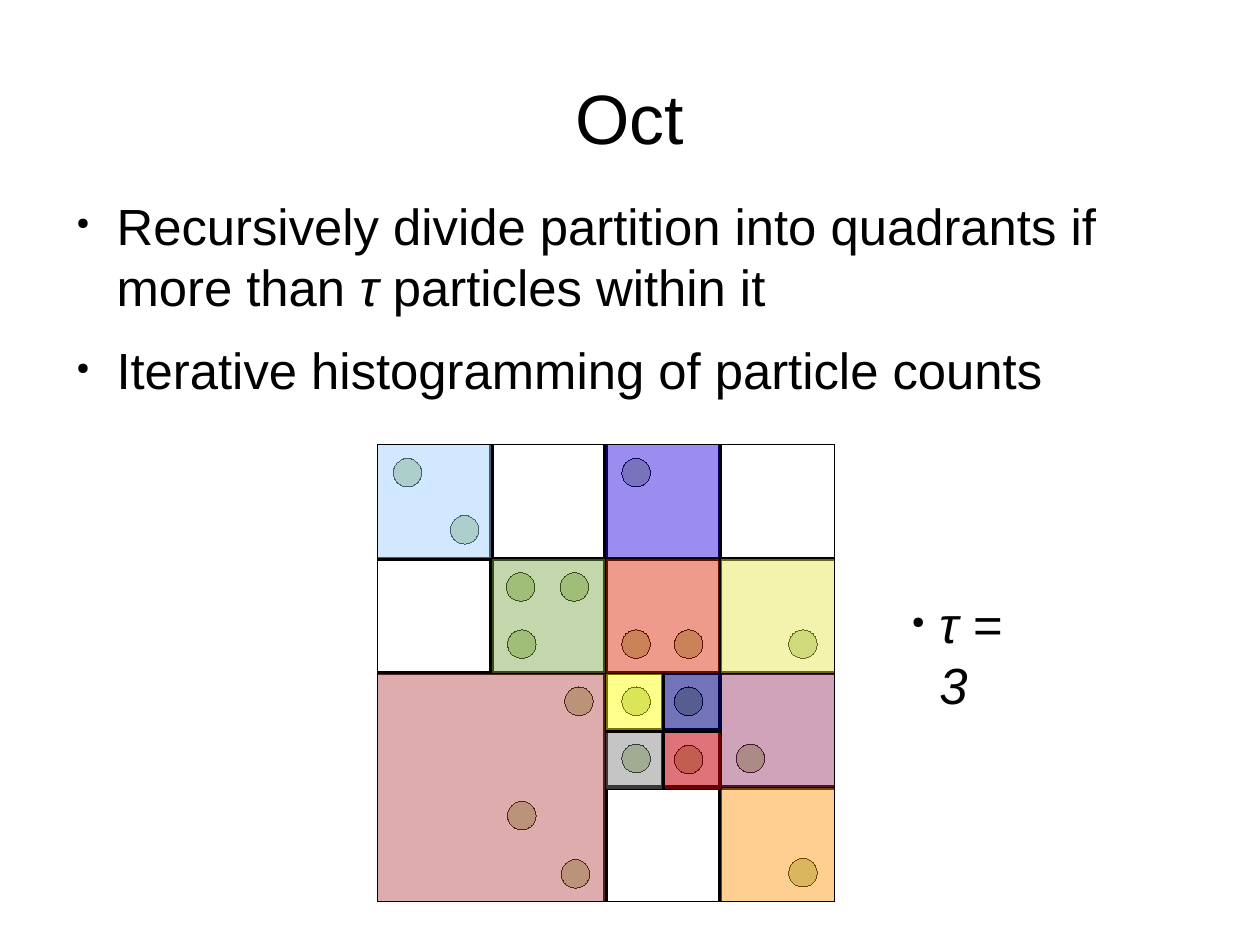
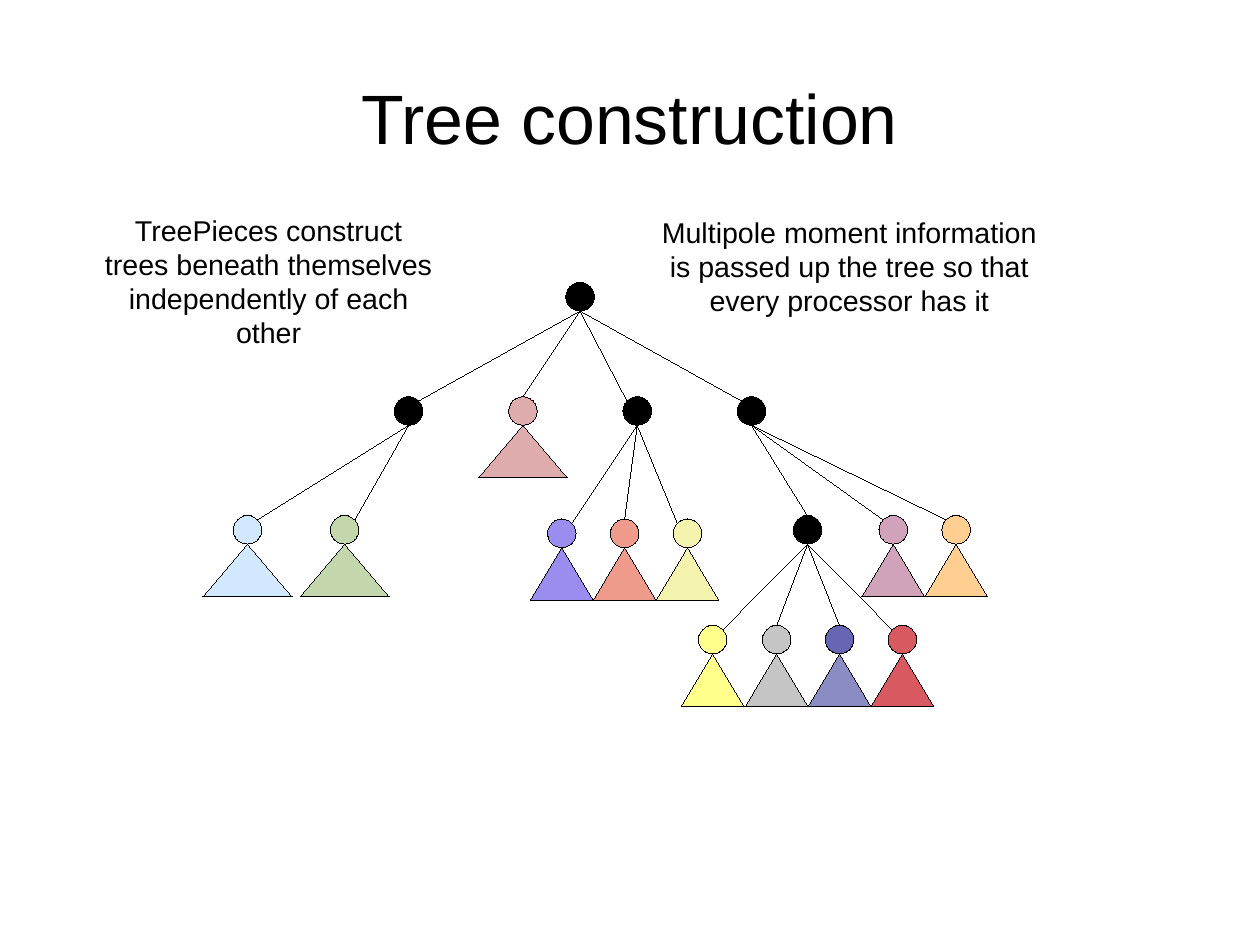
import lxml.etree
import pptx
import pptx.dml.color
import pptx.enum.shapes
import pptx.enum.text
import pptx.oxml.ns
import pptx.util

Inches = pptx.util.Inches
Pt = pptx.util.Pt
qn = pptx.oxml.ns.qn
SHAPE = pptx.enum.shapes.MSO_SHAPE
ANCHOR = pptx.enum.text.MSO_ANCHOR
ALIGN = pptx.enum.text.PP_ALIGN

COLOURS = {
    "black": "000000", "particle": "7DA647", "sky": "99CCFF",
    "green": "7DA647", "vermilion": "DC2300", "blue": "2300DC",
    "lemon": "E6E64C", "orange": "FF950E", "plum": "993366",
    "rose": "B84747", "yellow": "FFFF00", "navy": "000080",
    "red": "C5000B", "grey": "808080",
}
DOT = 0.25  # diameter of particles and tree nodes


class Deck:
    """Shared style, and the slide being filled."""
    font = "Arial"
    title_size, body_size, note_size = 44, 32, 18
    hairline, divider = 0.01, 2.89

    def __init__(self, presentation):
        self.presentation = presentation
        self.slide = None

    def colour(self, name):
        return pptx.dml.color.RGBColor.from_string(COLOURS[name])

    def add_slide(self, title):
        self.slide = self.presentation.slides.add_slide(
            self.presentation.slide_layouts[6])
        self.text((0.55, 0.38, 9.92, 1.28), [[(title, False)]],
                  self.title_size, inset=(0, 0), align=ALIGN.CENTER,
                  anchor=ANCHOR.MIDDLE)

    def text(self, box, paragraphs, size, inset=(0.1, 0.05), align=ALIGN.LEFT,
             anchor=ANCHOR.TOP, wrap=True, bullet=None, space_after=0):
        """Paragraphs are lists of (text, italic); bullet is (margin, indent)."""
        frame = self.slide.shapes.add_textbox(*map(Inches, box)).text_frame
        frame.word_wrap = wrap
        if not wrap:
            frame.auto_size = pptx.enum.text.MSO_AUTO_SIZE.SHAPE_TO_FIT_TEXT
        frame.vertical_anchor = anchor
        frame.margin_left = frame.margin_right = Inches(inset[0])
        frame.margin_top = frame.margin_bottom = Inches(inset[1])
        for index, runs in enumerate(paragraphs):
            paragraph = frame.add_paragraph() if index else frame.paragraphs[0]
            paragraph.alignment = align
            paragraph.space_after = Pt(space_after)
            if bullet:
                self.bullet(paragraph, *bullet)
            for words, italic in runs:
                run = paragraph.add_run()
                run.text = words
                run.font.name = self.font
                run.font.size = Pt(size)
                run.font.italic = italic
                run.font.color.rgb = self.colour("black")

    def bullet(self, paragraph, margin, indent):
        properties = paragraph._p.get_or_add_pPr()
        properties.set("marL", str(Inches(margin)))
        properties.set("indent", str(Inches(indent)))
        colour = lxml.etree.SubElement(properties, qn("a:buClr"))
        lxml.etree.SubElement(colour, qn("a:srgbClr"), val=COLOURS["black"])
        lxml.etree.SubElement(properties, qn("a:buSzPct"), val="32000")
        lxml.etree.SubElement(properties, qn("a:buChar"), char="●")

    def shape(self, kind, left, top, width, height, fill=None, opacity=100):
        shape = self.slide.shapes.add_shape(
            kind, *map(Inches, (left, top, width, height)))
        shape.shadow.inherit = False
        shape.line.color.rgb = self.colour("black")
        shape.line.width = Pt(self.hairline)
        if fill is None:
            shape.fill.background()
            return
        shape.fill.solid()
        shape.fill.fore_color.rgb = self.colour(fill)
        if opacity < 100:
            value = shape._element.spPr.find(
                qn("a:solidFill") + "/" + qn("a:srgbClr"))
            lxml.etree.SubElement(value, qn("a:alpha"), val=str(opacity * 1000))

    def line(self, start, end, width, group=None):
        connector = (group or self.slide).shapes.add_connector(
            pptx.enum.shapes.MSO_CONNECTOR.STRAIGHT,
            *map(Inches, (*start, *end)))
        connector.line.color.rgb = self.colour("black")
        connector.line.width = Pt(width)
        lxml.etree.SubElement(connector._element.spPr, qn("a:effectLst"))

    def cross(self, x, y, reach):
        """Split a square into quadrants."""
        group = self.slide.shapes.add_group_shape()
        self.line((x, y - reach), (x, y + reach), self.divider, group)
        self.line((x - reach, y), (x + reach, y), self.divider, group)


def build_oct(deck):
    deck.add_slide("Oct")
    deck.text((0.55, 1.7, 9.92, 2.05), [
        [("Recursively divide partition into quadrants if more than ", False),
         ("τ ", True), ("particles within it", False)],
        [("Iterative histogramming of particle counts", False)],
    ], deck.body_size, inset=(0, 0), bullet=(0.47, -0.35), space_after=14.2)

    # Domain square and its particles
    left, top = 3.3, 3.89
    deck.shape(SHAPE.RECTANGLE, left, top, 4, 4)
    particles = [
        (3.44, 4.01), (3.94, 4.51), (5.44, 4.01),
        (4.43, 5.01), (4.9, 5.01), (4.44, 5.51),
        (5.44, 5.51), (5.9, 5.51), (6.9, 5.51),
        (4.94, 6.01), (5.44, 6.01), (5.9, 6.01),
        (5.44, 6.51), (5.9, 6.52), (6.44, 6.51),
        (4.44, 7.01), (4.91, 7.52), (6.9, 7.51),
    ]
    for x, y in particles:
        deck.shape(SHAPE.OVAL, x, y, DOT, DOT, "particle", 50)

    deck.text((7.88, 5.14, 1.28, 0.75), [[("τ = 3", True)]],
              deck.body_size, bullet=(0.24, -0.24))

    # Recursive splits: centre and reach, in cells
    for column, row, reach in [(2, 2, 2), (1, 1, 1), (3, 1, 1), (3, 3, 1),
                               (2.5, 2.5, 0.5)]:
        deck.cross(left + column, top + row, reach)

    # Partitions: column, row, size, colour, opacity
    partitions = [
        (0, 0, 1, "sky", 45), (1, 1, 1, "green", 45),
        (2, 1, 1, "vermilion", 45), (2, 0, 1, "blue", 45),
        (3, 1, 1, "lemon", 45), (3, 3, 1, "orange", 45),
        (3, 2, 1, "plum", 45), (0, 2, 2, "rose", 45),
        (2, 2, 0.5, "yellow", 45), (2.51, 2, 0.5, "navy", 55),
        (2.51, 2.52, 0.5, "red", 55), (2, 2.52, 0.5, "grey", 45),
    ]
    for column, row, size, colour, opacity in partitions:
        deck.shape(SHAPE.RECTANGLE, left + column, top + row, size, size,
                   colour, opacity)


def build_tree(deck):
    deck.add_slide("Tree construction")

    # Inner nodes: left, top, parent, side where the edge arrives (-1, 0, 1)
    inner = {
        "root": (4.95, 2.47, None, 0),
        "west": (3.45, 3.47, "root", 1),
        "middle": (5.45, 3.47, "root", -1),
        "east": (6.45, 3.47, "root", -1),
        "deep": (6.94, 4.51, "east", 0),
    }
    # Tree pieces: the same, then triangle width, node and triangle opacity
    wide, narrow = 0.78, 0.55
    pieces = {
        "sky": (2.04, 4.51, "west", 1, wide, 45, 45),
        "green": (2.89, 4.51, "west", 1, wide, 45, 45),
        "rose": (4.45, 3.47, "root", 0, wide, 45, 45),
        "blue": (4.79, 4.54, "middle", 1, narrow, 45, 45),
        "vermilion": (5.34, 4.54, "middle", 0, narrow, 45, 45),
        "lemon": (5.89, 4.54, "middle", -1, narrow, 45, 45),
        "plum": (7.69, 4.51, "east", -1, narrow, 45, 45),
        "orange": (8.24, 4.51, "east", -1, narrow, 45, 45),
        "yellow": (6.11, 5.47, "deep", 1, narrow, 45, 45),
        "grey": (6.67, 5.47, "deep", 0, narrow, 45, 45),
        "navy": (7.22, 5.47, "deep", 0, narrow, 60, 45),
        "red": (7.77, 5.47, "deep", -1, narrow, 65, 65),
    }
    radius = DOT / 2

    # Nodes and the subtrees below the pieces
    for x, y, *_ in inner.values():
        deck.shape(SHAPE.OVAL, x, y, DOT, DOT, "black")
    for colour, (x, y, _, _, width, opacity, below) in pieces.items():
        deck.shape(SHAPE.OVAL, x, y, DOT, DOT, colour, opacity)
        deck.shape(SHAPE.ISOSCELES_TRIANGLE, x + radius - width / 2, y + DOT,
                   width, 0.46, colour, below)

    # Edges run from a parent's bottom to the child's top or upper diagonal
    diagonal = radius * 0.71
    for x, y, parent, side, *_ in [*inner.values(), *pieces.values()]:
        if parent:
            start = (inner[parent][0] + radius, inner[parent][1] + DOT)
            drop = radius - diagonal if side else 0
            deck.line(start, (x + radius + side * diagonal, y + drop),
                      deck.hairline)

    # Notes
    notes = [
        ((0.71, 1.81, 3.28, 0.94),
         ["TreePieces construct", "trees beneath themselves",
          "independently of each other"]),
        ((5.69, 1.83, 3.48, 0.94),
         ["Multipole moment information", "is passed up the tree so that",
          "every processor has it"]),
    ]
    for box, lines in notes:
        deck.text(box, [[(words, False)] for words in lines], deck.note_size,
                  align=ALIGN.CENTER, wrap=False)


def main():
    presentation = pptx.Presentation()
    # 28 by 21 cm page
    presentation.slide_width = Inches(28 / 2.54)
    presentation.slide_height = Inches(21 / 2.54)
    deck = Deck(presentation)
    build_oct(deck)
    build_tree(deck)
    presentation.save("out.pptx")


if __name__ == "__main__":
    main()
